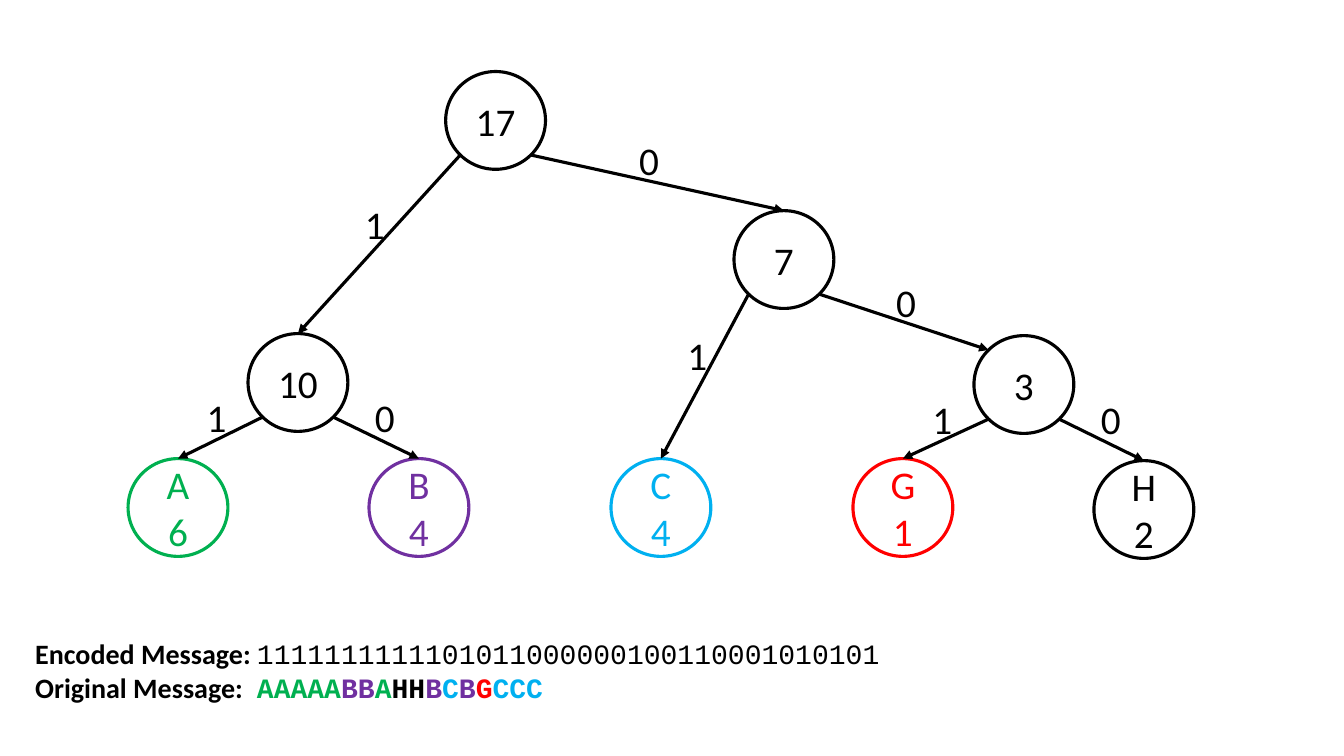
from dataclasses import dataclass
from itertools import groupby
from math import sqrt

from lxml.etree import SubElement
from pptx import Presentation
from pptx.dml.color import RGBColor as Rgb
from pptx.enum.shapes import MSO_CONNECTOR as Connector, MSO_SHAPE as Shape
from pptx.enum.text import MSO_ANCHOR as Anchor, PP_ALIGN as Align
from pptx.oxml.ns import qn
from pptx.util import Inches, Pt


@dataclass(frozen=True)
class Theme:
    ink: str = "000000"
    green: str = "00B050"
    purple: str = "7030A0"
    blue: str = "00B0F0"
    red: str = "FF0000"
    body_font: str = "Calibri"
    code_font: str = "Courier New"
    tree_size: float = 28
    message_size: float = 20
    line_width: float = 2.25


THEME = Theme()
NODE_WIDTH, NODE_HEIGHT = 0.99, 0.97
LABEL_WIDTH, LABEL_HEIGHT = 0.35, 0.57
MESSAGE_TAB = 2.2

LETTER_COLORS = {"A": THEME.green, "B": THEME.purple, "C": THEME.blue,
                 "G": THEME.red, "H": THEME.ink}

# Node name: left, top, lines of text
NODES = {
    "17": (4.42, 0.71, ["17"]),
    "10": (2.46, 3.31, ["10"]),
    "7": (7.28, 2.09, ["7"]),
    "3": (9.66, 3.33, ["3"]),
    "A": (1.27, 4.55, ["A", "6"]),
    "B": (3.66, 4.55, ["B", "4"]),
    "C": (6.06, 4.55, ["C", "4"]),
    "G": (8.46, 4.55, ["G", "1"]),
    "H": (10.85, 4.57, ["H", "2"]),
}

# Parent, child, bit, left and top of the bit, place where the arrow lands
EDGES = [
    ("17", "10", "1", 3.52, 1.94, "top"),
    ("17", "7", "0", 6.24, 1.30, "top"),
    ("10", "A", "1", 1.95, 3.85, "top"),
    ("10", "B", "0", 3.62, 3.85, "top"),
    ("7", "C", "1", 6.72, 3.24, "top"),
    ("7", "3", "0", 8.79, 2.71, "upper left"),
    ("3", "G", "1", 9.15, 3.87, "top"),
    ("3", "H", "0", 10.82, 3.87, "top"),
]

# Direction from a node's centre to a point on its outline
DIAGONAL = sqrt(0.5)
OUTLINE_POINTS = {
    "top": (0, -1),
    "upper left": (-DIAGONAL, -DIAGONAL),
    "lower left": (-DIAGONAL, DIAGONAL),
    "lower right": (DIAGONAL, DIAGONAL),
}

ENCODED = "1111111111101011000000100110001010101"
DECODED = "AAAAABBAHHBCBGCCC"


def add_span(para, text, color=THEME.ink, **font_format):
    span = para.add_run()
    span.text = text
    values = {"name": THEME.body_font, "size": Pt(THEME.tree_size), **font_format}
    for name, value in values.items():
        setattr(span.font, name, value)
    span.font.color.rgb = Rgb.from_string(color)


def outline_point(node, place):
    left, top, _ = NODES[node]
    across, down = OUTLINE_POINTS[place]
    return (Inches(left + NODE_WIDTH / 2 * (1 + across)),
            Inches(top + NODE_HEIGHT / 2 * (1 + down)))


def add_node(page, name):
    left, top, lines = NODES[name]
    color = LETTER_COLORS.get(name, THEME.ink)
    circle = page.shapes.add_shape(Shape.OVAL, Inches(left), Inches(top),
                                   Inches(NODE_WIDTH), Inches(NODE_HEIGHT))
    circle.shadow.inherit = False
    circle.fill.background()
    circle.line.color.rgb = Rgb.from_string(color)
    circle.line.width = Pt(THEME.line_width)
    frame = circle.text_frame
    frame.vertical_anchor = Anchor.MIDDLE
    for index, line in enumerate(lines):
        para = frame.add_paragraph() if index else frame.paragraphs[0]
        para.alignment = Align.CENTER
        add_span(para, line, color)


def add_arrow(page, parent, child, bit, landing):
    start = "lower left" if bit == "1" else "lower right"
    arrow = page.shapes.add_connector(Connector.STRAIGHT,
                                      *outline_point(parent, start),
                                      *outline_point(child, landing))
    arrow.line.color.rgb = Rgb.from_string(THEME.ink)
    arrow.line.width = Pt(THEME.line_width)
    SubElement(arrow.line._get_or_add_ln(), qn("a:tailEnd"), type="triangle")
    SubElement(arrow._element.spPr, qn("a:effectLst"))


def add_text_frame(page, left, top, width, height):
    box = page.shapes.add_textbox(Inches(left), Inches(top),
                                  Inches(width), Inches(height))
    box.text_frame.word_wrap = True
    return box.text_frame


def add_bit(page, bit, left, top):
    para = add_text_frame(page, left, top, LABEL_WIDTH, LABEL_HEIGHT).paragraphs[0]
    para.alignment = Align.CENTER if bit == "1" else Align.LEFT
    add_span(para, bit)


def start_message(para, heading):
    tabs = SubElement(para._p.get_or_add_pPr(), qn("a:tabLst"))
    SubElement(tabs, qn("a:tab"), pos=str(Inches(MESSAGE_TAB)), algn="l")
    add_span(para, heading + "\t", size=Pt(THEME.message_size), bold=True)


def add_messages(page):
    frame = add_text_frame(page, 0.25, 6.27, 13.08, 0.77)
    code = {"name": THEME.code_font, "size": Pt(THEME.message_size)}

    encoded = frame.paragraphs[0]
    start_message(encoded, "Encoded Message:")
    add_span(encoded, ENCODED, bold=False, **code)

    # Each run of equal letters takes the colour of its leaf
    decoded = frame.add_paragraph()
    start_message(decoded, "Original Message:")
    for letter, group in groupby(DECODED):
        add_span(decoded, "".join(group), LETTER_COLORS[letter], bold=True, **code)


def main():
    deck = Presentation()
    deck.slide_width, deck.slide_height = Inches(13.33), Inches(7.5)
    page = deck.slides.add_slide(deck.slide_layouts[6])

    # Tree
    for name in NODES:
        add_node(page, name)
    for parent, child, bit, left, top, landing in EDGES:
        add_arrow(page, parent, child, bit, landing)
        add_bit(page, bit, left, top)

    # Messages below the tree
    add_messages(page)
    deck.save("out.pptx")


main()
